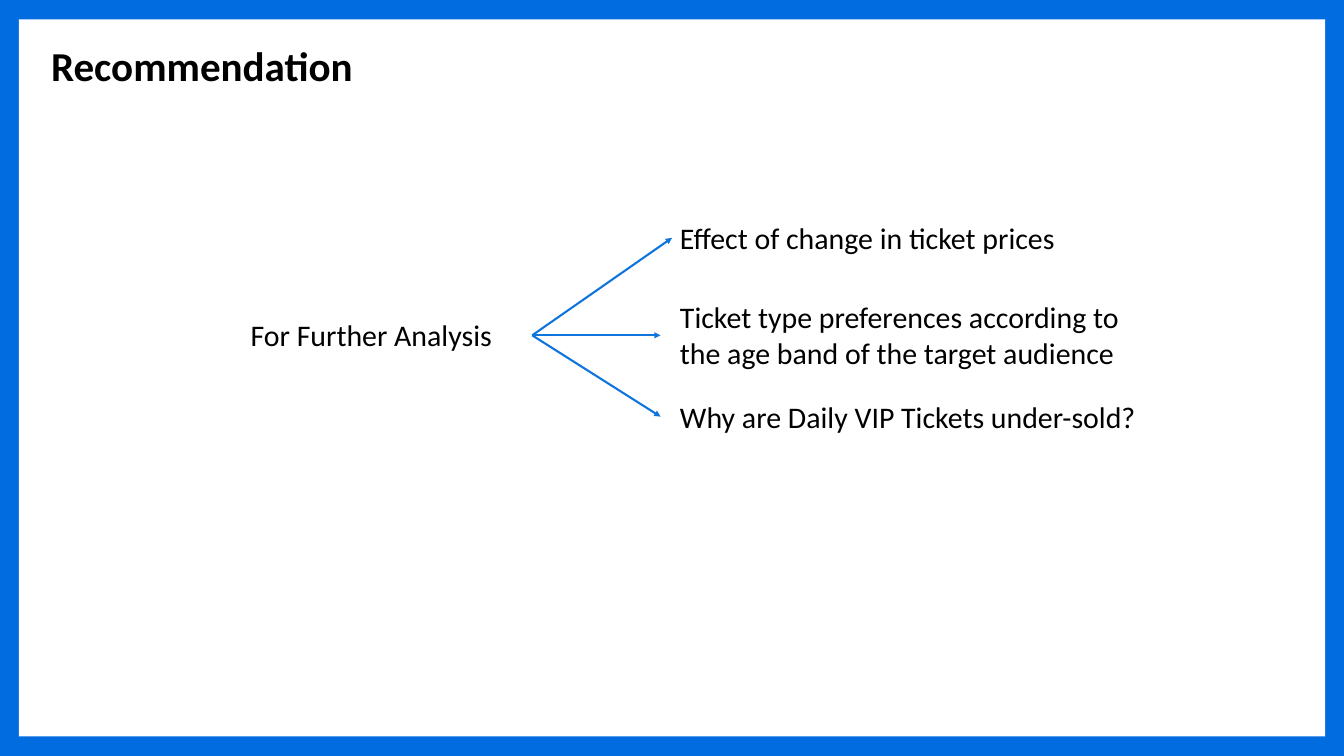
from lxml import etree
from pptx import Presentation
from pptx.dml.color import RGBColor
from pptx.enum.shapes import MSO_CONNECTOR, MSO_SHAPE
from pptx.enum.text import MSO_ANCHOR, PP_ALIGN
from pptx.oxml.ns import qn
from pptx.util import Inches, Pt

RECTANGLE = MSO_SHAPE.RECTANGLE
STRAIGHT = MSO_CONNECTOR.STRAIGHT
LEFT = PP_ALIGN.LEFT
TOP = MSO_ANCHOR.TOP

FRAME_BLUE = RGBColor(0x00, 0x6C, 0xDF)
ARROW_BLUE = RGBColor(0x0F, 0x75, 0xDC)
WHITE = RGBColor(0xFF, 0xFF, 0xFF)
BLACK = RGBColor(0x00, 0x00, 0x00)

FONT = "Calibri"
SLIDE_WIDTH, SLIDE_HEIGHT = 20, 11.25

QUESTIONS = [
    ("Effect of change in ticket prices", (10.02, 3.22, 6.01, 0.64), (10, 3.54)),
    ("Ticket type preferences according to the age band of the target audience",
     (10.02, 4.4, 7.12, 1.18), (9.83, 4.99)),
    ("Why are Daily VIP Tickets under-sold?", (10.02, 5.88, 7.12, 0.64), (9.83, 6.2)),
]


def write_text(holder, text, size=32, bold=False, color=BLACK):
    frame = holder.text_frame
    frame.word_wrap = True
    frame.vertical_anchor = TOP
    frame.margin_left = frame.margin_right = Inches(0.1)
    frame.margin_top = frame.margin_bottom = Inches(0.05)
    paragraph = frame.paragraphs[0]
    paragraph.alignment = LEFT
    paragraph.line_spacing = 1.0
    paragraph.space_before = Pt(0)
    run = paragraph.add_run()
    run.text = text
    run.font.name = FONT
    run.font.size = Pt(size)
    run.font.bold = bold
    run.font.color.rgb = color


def add_label(slide, box, text):
    label = slide.shapes.add_textbox(*map(Inches, box))
    write_text(label, text)


def add_panel(slide, box, color):
    panel = slide.shapes.add_shape(RECTANGLE, *map(Inches, box))
    panel.shadow.inherit = False
    panel.fill.solid()
    panel.fill.fore_color.rgb = color
    panel.line.fill.background()
    slide.shapes.title.element.addprevious(panel.element)


def add_arrow(slide, start, end):
    arrow = slide.shapes.add_connector(STRAIGHT, *map(Inches, start + end))
    arrow.line.color.rgb = ARROW_BLUE
    arrow.line.width = Pt(2.25)
    etree.SubElement(arrow.line._get_or_add_ln(), qn("a:tailEnd"), type="triangle")
    etree.SubElement(arrow.element.spPr, qn("a:effectLst"))


def add_border(slide, box):
    left, top, width, height = box
    side, edge = 0.28, 0.29
    add_panel(slide, box, FRAME_BLUE)
    add_panel(slide, (left + side, top + edge, width - 2 * side, height - 2 * edge), WHITE)


def place_title(slide, box, text):
    title = slide.shapes.title
    title.left, title.top, title.width, title.height = map(Inches, box)
    write_text(title, text, size=44, bold=True)


def add_analysis_branches(slide, topic_box, branch_start):
    add_label(slide, topic_box, "For Further Analysis")
    for question, question_box, arrow_tip in QUESTIONS:
        add_arrow(slide, branch_start, arrow_tip)
        add_label(slide, question_box, question)


def main():
    deck = Presentation()
    deck.slide_width = Inches(SLIDE_WIDTH)
    deck.slide_height = Inches(SLIDE_HEIGHT)
    slide = deck.slides.add_slide(deck.slide_layouts[5])
    add_border(slide, (0, 0, SLIDE_WIDTH, SLIDE_HEIGHT))
    place_title(slide, (0.66, 0.55, 5.72, 0.84), "Recommendation")
    add_analysis_branches(slide, (3.63, 4.67, 4.14, 0.64), (7.92, 4.99))
    deck.save("out.pptx")


if __name__ == "__main__":
    main()
